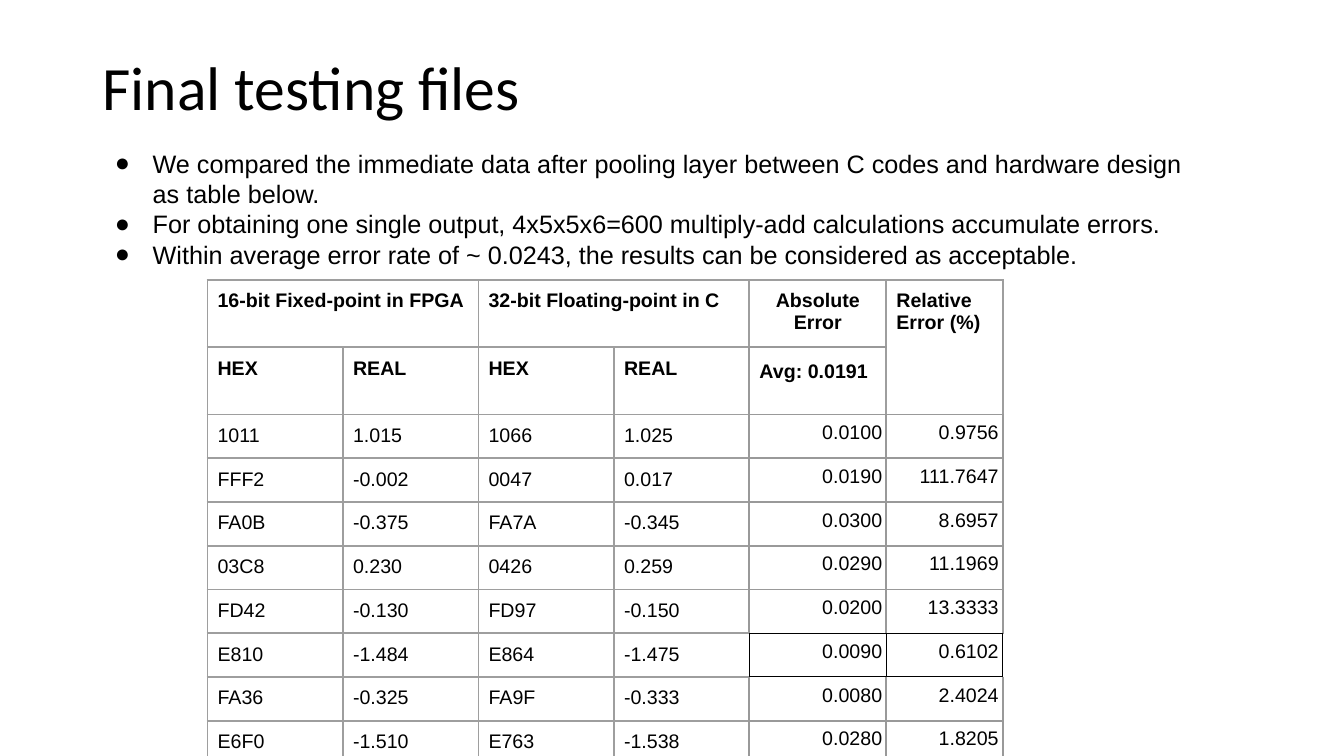
from collections import namedtuple
from dataclasses import dataclass

from lxml.etree import SubElement
from pptx import Presentation
from pptx.dml.color import RGBColor
from pptx.enum.text import MSO_ANCHOR, PP_ALIGN
from pptx.oxml import parse_xml
from pptx.oxml.ns import nsdecls, qn
from pptx.util import Pt

Box = namedtuple("Box", "left top width height")


@dataclass(frozen=True)
class Theme:
    ink: str = "000000"
    grid: str = "9E9E9E"
    error_grid: str = "999999"
    title_font: str = "Calibri"
    body_font: str = "Arial"
    title_size: float = 44
    body_size: float = 18
    table_size: float = 14
    inset: float = 7.2
    error_inset: float = 2.9
    grid_width: float = 1.5
    marked_width: float = 0.75


THEME = Theme()

TITLE = "Final testing files"
POINTS = [
    "We compared the immediate data after pooling layer between C codes "
    "and hardware design as table below.",
    "For obtaining one single output, 4x5x5x6=600 multiply-add calculations "
    "accumulate errors.",
    "Within average error rate of ~ 0.0243, the results can be considered as acceptable.",
]

COLUMN_WIDTHS = [96.8] * 4 + [97.8, 83.2]
ROW_HEIGHTS = [46.4, 45.7] + [30.1] * 8
HEADER_ROWS = 2
ERROR_COLUMN = 4
MARKED_ROW = 7
MERGES = [((0, 0), (0, 1)), ((0, 2), (0, 3)), ((0, 5), (1, 5))]
ROWS = [
    ["16-bit Fixed-point in FPGA", "", "32-bit Floating-point in C", "",
     "Absolute Error", "Relative Error (%)"],
    ["HEX", "REAL", "HEX", "REAL", "Avg: 0.0191", ""],
    ["1011", "1.015", "1066", "1.025", "0.0100", "0.9756"],
    ["FFF2", "-0.002", "0047", "0.017", "0.0190", "111.7647"],
    ["FA0B", "-0.375", "FA7A", "-0.345", "0.0300", "8.6957"],
    ["03C8", "0.230", "0426", "0.259", "0.0290", "11.1969"],
    ["FD42", "-0.130", "FD97", "-0.150", "0.0200", "13.3333"],
    ["E810", "-1.484", "E864", "-1.475", "0.0090", "0.6102"],
    ["FA36", "-0.325", "FA9F", "-0.333", "0.0080", "2.4024"],
    ["E6F0", "-1.510", "E763", "-1.538", "0.0280", "1.8205"],
]


def add_span(para, text, font, size, bold=False):
    span = para.add_run()
    span.text = text
    span.font.name = font
    span.font.size = Pt(size)
    span.font.bold = bold
    span.font.color.rgb = RGBColor.from_string(THEME.ink)


def set_insets(holder, inset):
    holder.margin_left = holder.margin_right = Pt(inset)
    holder.margin_top = holder.margin_bottom = Pt(inset)


def place(shape, box):
    shape.left, shape.top, shape.width, shape.height = map(Pt, box)


# Title
def add_title(page, box):
    title = page.shapes.title
    place(title, box)
    frame = title.text_frame
    frame.word_wrap = True
    frame.vertical_anchor = MSO_ANCHOR.MIDDLE
    set_insets(frame, THEME.inset)
    para = frame.paragraphs[0]
    para.alignment = PP_ALIGN.LEFT
    para.line_spacing = 0.9
    add_span(para, TITLE, THEME.title_font, THEME.title_size)


# Bulleted findings
def add_points(page, box):
    frame = page.shapes.add_textbox(*map(Pt, box)).text_frame
    frame.word_wrap = True
    set_insets(frame, THEME.inset)
    for index, text in enumerate(POINTS):
        para = frame.add_paragraph() if index else frame.paragraphs[0]
        properties = para._p.get_or_add_pPr()
        properties.set("marL", str(Pt(36)))
        properties.set("indent", str(-Pt(27)))
        SubElement(properties, qn("a:buFont")).set("typeface", THEME.body_font)
        SubElement(properties, qn("a:buChar")).set("char", "●")
        add_span(para, text, THEME.body_font, THEME.body_size)


# Table borders: an edge follows the stronger of the two cells it divides
def border_level(row, column):
    if not 0 <= column < len(COLUMN_WIDTHS) or column < ERROR_COLUMN or row < 1:
        return 0
    return 2 if row == MARKED_ROW else 1


def draw_borders(cell, row, column):
    styles = [(THEME.grid, THEME.grid_width),
              (THEME.error_grid, THEME.grid_width),
              (THEME.ink, THEME.marked_width)]
    sides = {"L": (0, -1), "R": (0, 1), "T": (-1, 0), "B": (1, 0)}
    properties = cell._tc.get_or_add_tcPr()
    for index, (side, (down, across)) in enumerate(sides.items()):
        level = max(border_level(row, column), border_level(row + down, column + across))
        color, width = styles[level]
        properties.insert(index, parse_xml(
            f'<a:ln{side} {nsdecls("a")} w="{Pt(width)}"><a:solidFill>'
            f'<a:srgbClr val="{color}"/></a:solidFill></a:ln{side}>'))


def fill_cell(cell, row, column):
    is_header = row < HEADER_ROWS
    is_error = column >= ERROR_COLUMN and not is_header
    cell.fill.background()
    cell.vertical_anchor = MSO_ANCHOR.TOP
    set_insets(cell, THEME.error_inset if is_error else THEME.inset)
    draw_borders(cell, row, column)
    para = cell.text_frame.paragraphs[0]
    if is_error:
        para.alignment = PP_ALIGN.RIGHT
    elif (row, column) == (0, ERROR_COLUMN):
        para.alignment = PP_ALIGN.CENTER
    if column >= ERROR_COLUMN and row:
        para.line_spacing = 1.15
    if ROWS[row][column]:
        add_span(para, ROWS[row][column], THEME.body_font, THEME.table_size, is_header)


# Comparison table
def add_comparison(page, box):
    table = page.shapes.add_table(len(ROWS), len(COLUMN_WIDTHS), *map(Pt, box)).table
    table.first_row = table.horz_banding = False
    for column, width in zip(table.columns, COLUMN_WIDTHS):
        column.width = Pt(width)
    for row, height in zip(table.rows, ROW_HEIGHTS):
        row.height = Pt(height)
    for row in range(len(ROWS)):
        for column in range(len(COLUMN_WIDTHS)):
            fill_cell(table.cell(row, column), row, column)
    for first, last in MERGES:
        table.cell(*first).merge(table.cell(*last))


def main():
    deck = Presentation()
    deck.slide_width, deck.slide_height = Pt(960), Pt(540)
    page = deck.slides.add_slide(deck.slide_layouts[5])
    add_title(page, Box(66, 12.2, 828, 104.4))
    add_points(page, Box(66, 98.6, 793, 109.4))
    add_comparison(page, Box(148.2, 200, sum(COLUMN_WIDTHS), sum(ROW_HEIGHTS)))
    deck.save("out.pptx")


if __name__ == "__main__":
    main()
